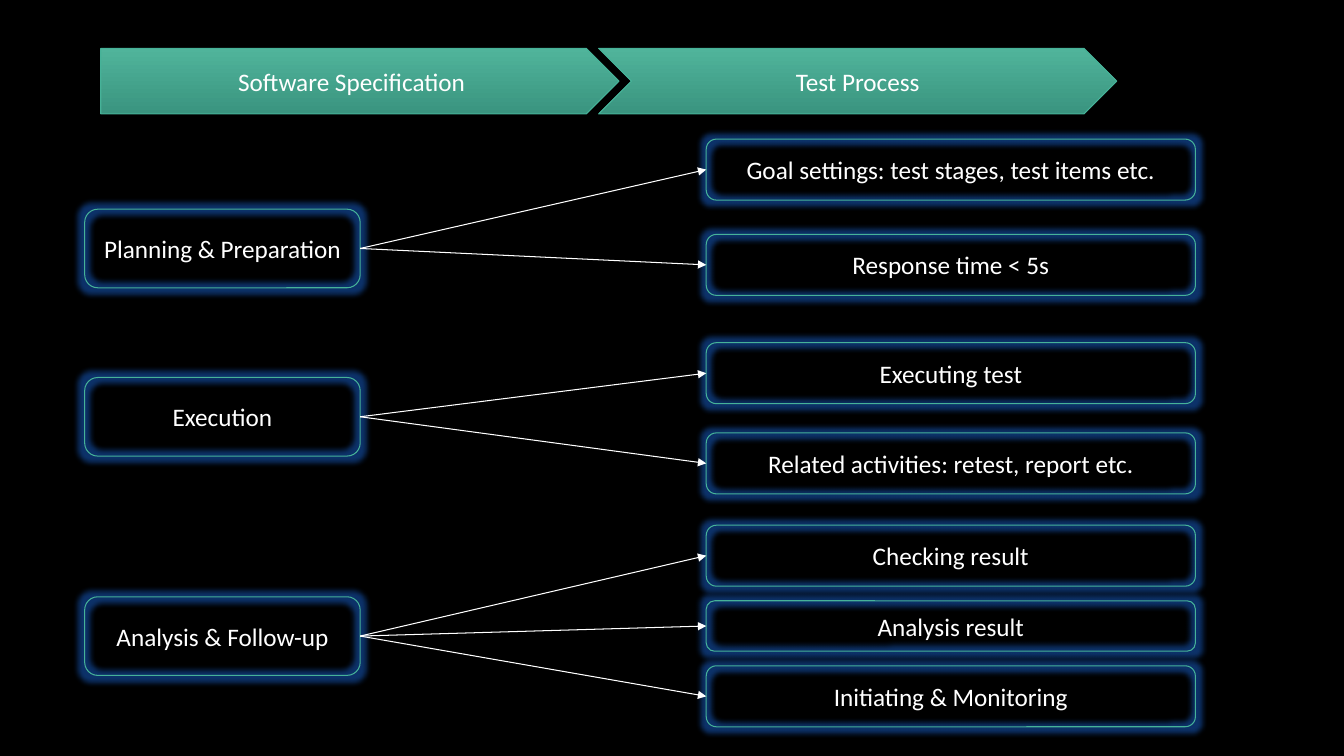
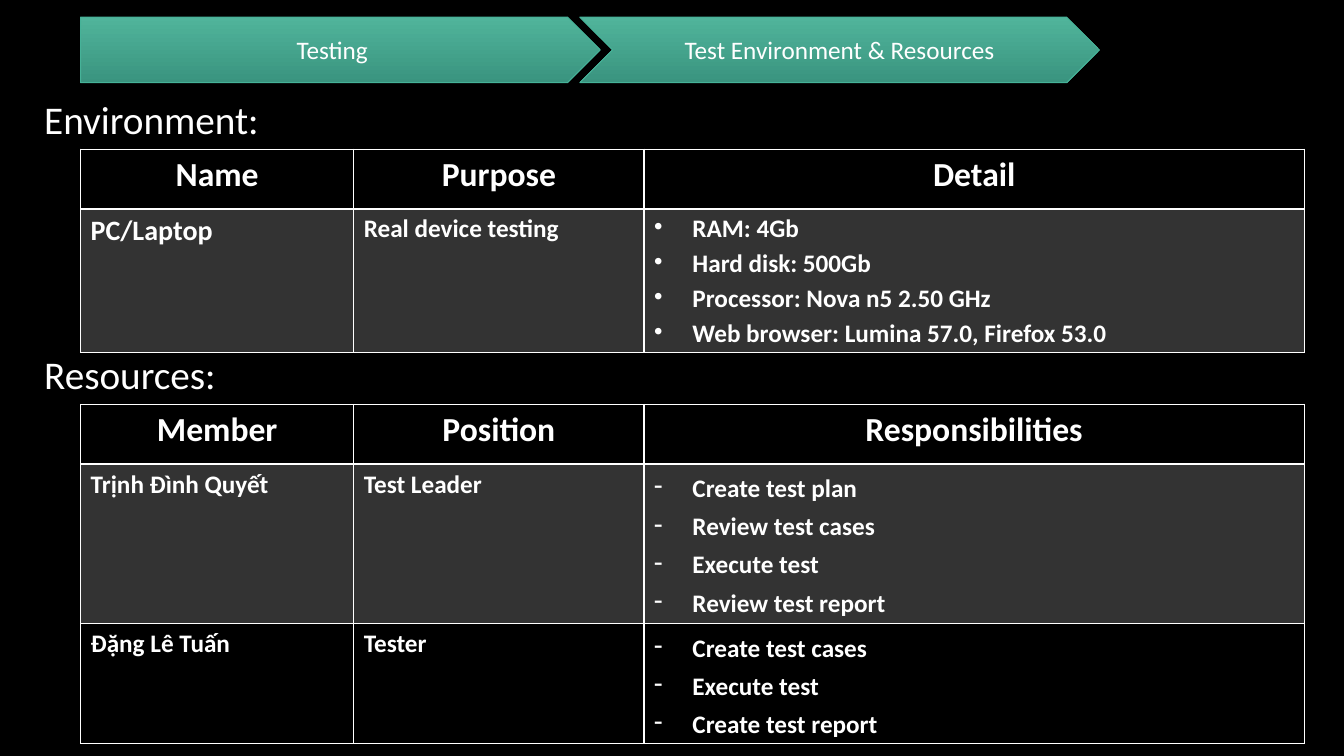
from typing import NamedTuple

from lxml.etree import SubElement
from pptx import Presentation
from pptx.dml.color import RGBColor
from pptx.enum.shapes import MSO_CONNECTOR, MSO_SHAPE
from pptx.enum.text import MSO_ANCHOR, PP_ALIGN
from pptx.oxml.ns import qn
from pptx.util import Inches, Pt

WIDE, HIGH = 13.33, 7.5
FONT = "Calibri"
BLACK = RGBColor(0x00, 0x00, 0x00)
WHITE = RGBColor(0xFF, 0xFF, 0xFF)
GREY = RGBColor(0x33, 0x33, 0x33)
TEAL = RGBColor(0x46, 0xB2, 0x98)
LIGHT = RGBColor(0x50, 0xB4, 0x9B)
DARK = RGBColor(0x3A, 0x94, 0x7F)
BLUE = RGBColor(0x1A, 0x66, 0xD6)

STEP = 0.51                     # banner step, share of the banner's width
STAGE_W, STAGE_H = 20.5, 10.4   # percent of the slide
ITEM_W = 36.4
TALL, SHORT = 8.07, 6.67
TITLE = Inches(0.34), Inches(2.49), Inches(0.89)
COLS = 2.71, 2.88, 6.55
HEAD_H = 7.87
DROP = 10                       # from the top of a section to its table

STAGES = [
    (18.4, 20.67, "Planning & Preparation", 0.7,
     [("Goal settings: test stages, test items etc.", TALL),
      ("Response time < 5s", TALL)]),
    (45.33, 20, "Execution", 0.49,
     [("Executing test", TALL),
      ("Related activities: retest, report etc.", TALL)]),
    (69.47, 26.67, "Analysis & Follow-up", 0.55,
     [("Checking result", TALL), ("Analysis result", SHORT),
      ("Initiating & Monitoring", TALL)]),
]
DEVICES = [
    ("PC/Laptop", "Real device testing",
     ["RAM: 4Gb", "Hard disk: 500Gb", "Processor: Nova n5 2.50 GHz",
      "Web browser: Lumina 57.0, Firefox 53.0"]),
]
TEAM = [
    ("Trịnh Đình Quyết", "Test Leader",
     ["Create test plan", "Review test cases", "Execute test",
      "Review test report"]),
    ("Đặng Lê Tuấn", "Tester",
     ["Create test cases", "Execute test", "Create test report"]),
]


class Box(NamedTuple):
    """A region in percent of the slide's width and height."""
    x: float
    y: float
    w: float
    h: float

    def place(self):
        return [Inches(part * side / 100)
                for part, side in zip(self, (WIDE, HIGH, WIDE, HIGH))]


def write(para, text, size, bold=False):
    run = para.add_run()
    run.text = text
    font = run.font
    font.name, font.size, font.bold = FONT, Pt(size), bold
    font.color.rgb = WHITE


def add_shape(slide, kind, box, text):
    shape = slide.shapes.add_shape(kind, *box.place())
    shape.shadow.inherit = False
    shape.line.color.rgb = TEAL
    shape.line.width = Pt(0.75)
    frame = shape.text_frame
    frame.word_wrap = True
    frame.vertical_anchor = MSO_ANCHOR.MIDDLE
    para = frame.paragraphs[0]
    para.alignment = PP_ALIGN.CENTER
    write(para, text, 18)
    return shape


def add_banner(slide, box, names):
    step = box.w * STEP
    kinds = MSO_SHAPE.PENTAGON, MSO_SHAPE.CHEVRON
    for i, (kind, name) in enumerate(zip(kinds, names)):
        left = box.x + i * (box.w - step)
        shape = add_shape(slide, kind, Box(left, box.y, step, box.h), name)
        shape.fill.gradient()
        shape.fill.gradient_angle = 270
        for stop, shade in zip(shape.fill.gradient_stops, (LIGHT, DARK)):
            stop.color.rgb = shade


def add_node(slide, box, text):
    """Add an unfilled rounded box with a blue glow."""
    node = add_shape(slide, MSO_SHAPE.ROUNDED_RECTANGLE, box, text)
    node.fill.background()
    effects = node._element.spPr.find(qn("a:effectLst"))
    glow = SubElement(effects, qn("a:glow"), rad="101600")
    shade = SubElement(glow, qn("a:srgbClr"), val=str(BLUE))
    SubElement(shade, qn("a:alpha"), val="50000")
    return node


def add_arrow(slide, start, end):
    arrow = slide.shapes.add_connector(MSO_CONNECTOR.STRAIGHT, 0, 0, 0, 0)
    arrow.begin_connect(start, 3)
    arrow.end_connect(end, 1)
    arrow.line.color.rgb = WHITE
    arrow.line.width = Pt(0.75)
    SubElement(arrow.line._get_or_add_ln(), qn("a:tailEnd"), type="triangle")
    SubElement(arrow._element.spPr, qn("a:effectLst"))


def add_stage(slide, box, name, share, items):
    """Link a stage, centred at a share of the box's height, to its items."""
    top = box.y + share * box.h - STAGE_H / 2
    stage = add_node(slide, Box(box.x, top, STAGE_W, STAGE_H), name)
    gap = (box.h - sum(high for _, high in items)) / (len(items) - 1)
    left, top = box.x + box.w - ITEM_W, box.y
    for text, high in items:
        item = add_node(slide, Box(left, top, ITEM_W, high), text)
        add_arrow(slide, stage, item)
        top += high + gap


def style_cell(cell, fill, base):
    """Set white borders and the fill; base is the width of the lower edge."""
    props = cell._tc.get_or_add_tcPr()
    for side, width in zip("LRTB", (1, 1, 1, base)):
        edge = SubElement(props, qn("a:ln" + side), w=str(Pt(width)))
        solid = SubElement(edge, qn("a:solidFill"))
        SubElement(solid, qn("a:srgbClr"), val=str(WHITE))
    cell.fill.solid()
    cell.fill.fore_color.rgb = fill


def fill_list(frame, lines, mark, before, spacing, align):
    for i, line in enumerate(lines):
        para = frame.add_paragraph() if i else frame.paragraphs[0]
        props = para._p.get_or_add_pPr()
        props.set("marL", str(Inches(0.38)))
        props.set("indent", str(-Inches(0.38)))
        SubElement(props, qn("a:buChar"), char=mark)
        para.alignment = align
        para.line_spacing = spacing
        if i:
            para.space_before = Pt(before)
        write(para, line, 18, True)


def add_part(slide, box, title, heads, rows, highs, size, style):
    """Add a titled table; highs are the body rows, size its first column."""
    left, wide, high = TITLE
    label = slide.shapes.add_textbox(left, box.place()[1], wide, high)
    label.text_frame.word_wrap = True
    label.text_frame.vertical_anchor = MSO_ANCHOR.MIDDLE
    write(label.text_frame.paragraphs[0], title, 28)

    area = Box(box.x, box.y + DROP, box.w, box.h - DROP)
    table = slide.shapes.add_table(len(rows) + 1, len(COLS),
                                   *area.place()).table
    table.first_row = table.horz_banding = False
    for col, part in zip(table.columns, COLS):
        col.width = Inches(part / sum(COLS) * box.w * WIDE / 100)
    for row, high in zip(table.rows, (HEAD_H, *highs)):
        row.height = Inches(high * HIGH / 100)

    for c, head in enumerate(heads):
        cell = table.cell(0, c)
        style_cell(cell, BLACK, 2)
        para = cell.text_frame.paragraphs[0]
        para.alignment = PP_ALIGN.CENTER
        write(para, head, 24, True)
    for r, (name, role, lines) in enumerate(rows, 1):
        cells = [table.cell(r, c) for c in range(len(COLS))]
        for cell in cells:
            style_cell(cell, GREY if r % 2 else BLACK, 1)
        write(cells[0].text_frame.paragraphs[0], name, size, True)
        write(cells[1].text_frame.paragraphs[0], role, 18, True)
        fill_list(cells[2].text_frame, lines, *style)


def add_slide(deck):
    slide = deck.slides.add_slide(deck.slide_layouts[6])
    slide.background.fill.solid()
    slide.background.fill.fore_color.rgb = BLACK
    return slide


def main():
    deck = Presentation()
    deck.slide_width, deck.slide_height = Inches(WIDE), Inches(HIGH)

    flow = add_slide(deck)
    add_banner(flow, Box(7.5, 6.4, 75.6, 8.67),
               ("Software Specification", "Test Process"))
    for top, high, name, share, items in STAGES:
        add_stage(flow, Box(6.3, top, 82.65, high), name, share, items)

    plan = add_slide(deck)
    add_banner(plan, Box(6, 2.27, 75.8, 8.67),
               ("Testing", "Test Environment & Resources"))
    add_part(plan, Box(6, 9.75, 91.05, 36.93), "Environment:",
             ("Name", "Purpose", "Detail"), DEVICES, [19.06], 20,
             ("•", 3, 1, PP_ALIGN.JUSTIFY))
    add_part(plan, Box(6, 43.5, 91.05, 54.67), "Resources:",
             ("Member", "Position", "Responsibilities"), TEAM, [21.1, 15.7],
             18, ("-", 2, 1.15, PP_ALIGN.LEFT))
    deck.save("out.pptx")


if __name__ == "__main__":
    main()
